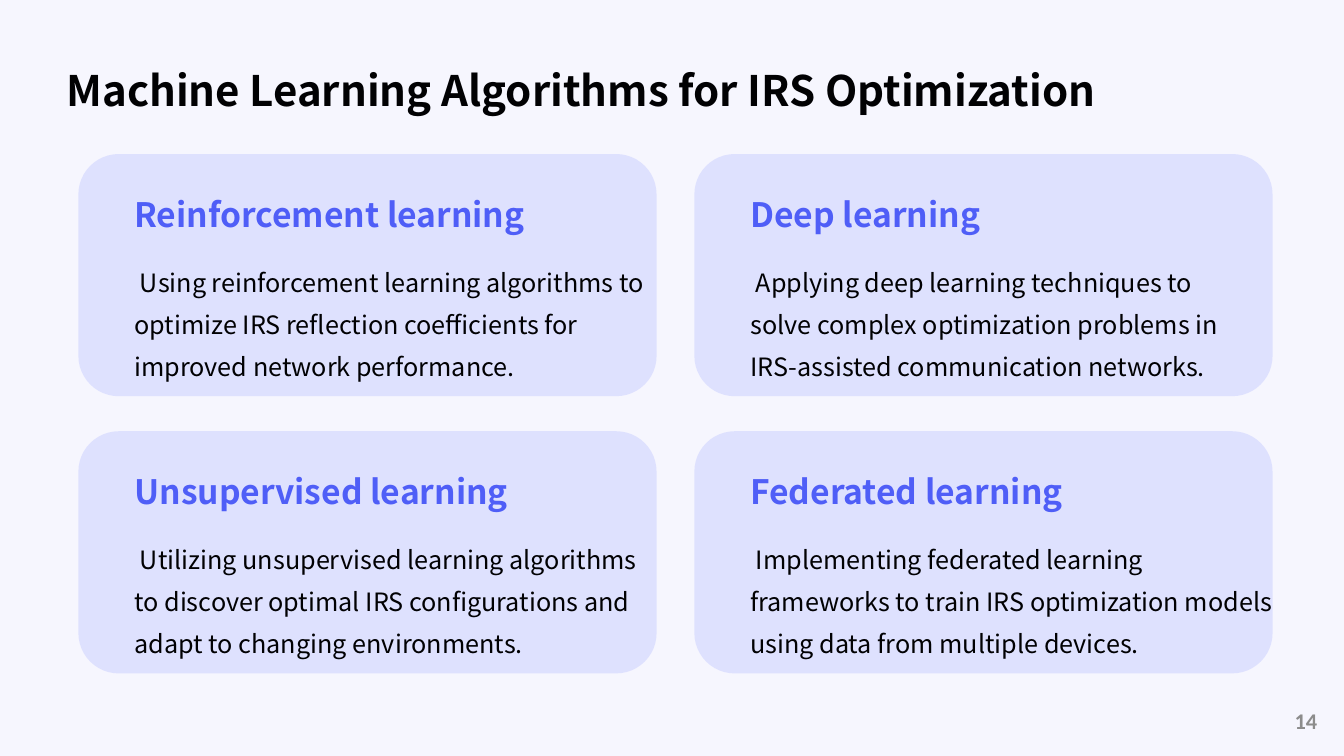
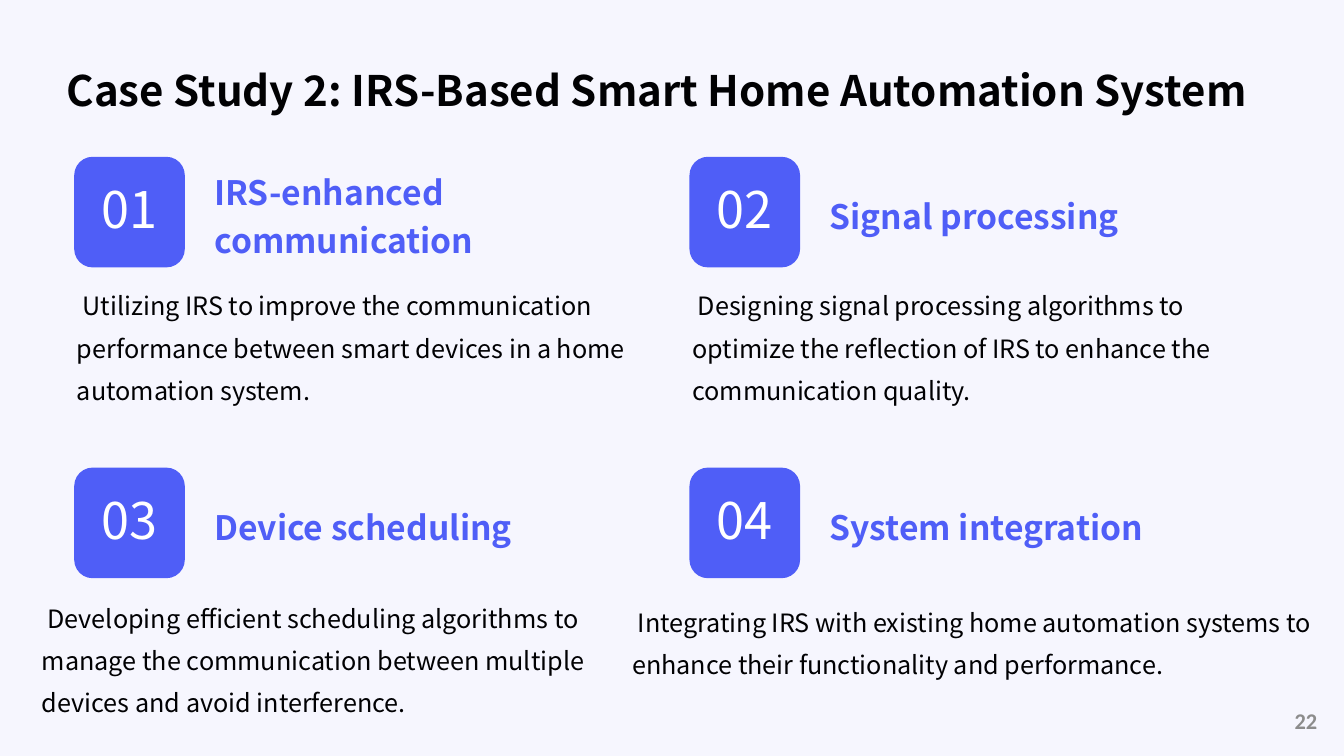
import pptx
import pptx.util
import pptx.dml.color
import pptx.enum.shapes
import pptx.enum.text
import pptx.oxml.ns
import lxml.etree

Pt = pptx.util.Pt
ALIGN = pptx.enum.text.PP_ALIGN
ANCHOR = pptx.enum.text.MSO_ANCHOR
FONT = "Noto Sans CJK SC"
HUES = {
    "page": "F6F6FE",
    "card": "D9DCFF",
    "blue": "4F5EF7",
    "ink": "010103",
    "gray": "8C8C8C",
    "white": "FFFFFF",
}
WIDE = (10, 10, 4, 10)
FLUSH = (0, 0, 0, 0)
BADGE = 79

CARDS = [
    ("Reinforcement learning", "Using reinforcement learning algorithms to optimize IRS reflection "
     "coefficients for improved network performance.", 390),
    ("Deep learning", "Applying deep learning techniques to solve complex optimization problems in "
     "IRS-assisted communication networks.", 370),
    ("Unsupervised learning", "Utilizing unsupervised learning algorithms to discover optimal IRS "
     "configurations and adapt to changing environments.", 390),
    ("Federated learning", "Implementing federated learning frameworks to train IRS optimization "
     "models using data from multiple devices.", 390),
]
STEPS = [
    ("IRS-enhanced communication", "Utilizing IRS to improve the communication performance between "
     "smart devices in a home automation system.", (2, 87, 410)),
    ("Signal processing", "Designing signal processing algorithms to optimize the reflection of IRS "
     "to enhance the communication quality.", (2, 87, 410)),
    ("Device scheduling", "Developing efficient scheduling algorithms to manage the communication "
     "between multiple devices and avoid interference.", (-23, 88, 410)),
    ("System integration", "Integrating IRS with existing home automation systems to enhance their "
     "functionality and performance.", (-41, 91, 508)),
]


def paint(fill, hue):
    fill.solid()
    fill.fore_color.rgb = pptx.dml.color.RGBColor.from_string(HUES[hue])


def write(shape, text, size=18, hue="ink", bold=False, font=FONT, align=ALIGN.LEFT,
          anchor=ANCHOR.TOP, pad=(7.2, 3.6, 7.2, 3.6), lead=1.0, indent=0):
    frame = shape.text_frame
    frame.word_wrap = True
    frame.auto_size = pptx.enum.text.MSO_AUTO_SIZE.NONE
    frame.vertical_anchor = anchor
    frame.margin_left, frame.margin_top, frame.margin_right, frame.margin_bottom = map(Pt, pad)
    para = frame.paragraphs[0]
    para.alignment = align
    para.line_spacing = lead
    if indent:
        para._p.get_or_add_pPr().set("indent", str(Pt(indent)))
    run = para.add_run()
    run.text = text
    run.font.name = font
    run.font.size = Pt(size)
    run.font.bold = bold
    run.font.color.rgb = pptx.dml.color.RGBColor.from_string(HUES[hue])


def add_text(slide, box, text, **style):
    write(slide.shapes.add_textbox(*map(Pt, box)), text, **style)


def add_round(slide, box, hue, alpha=None):
    kind = pptx.enum.shapes.MSO_SHAPE.ROUNDED_RECTANGLE
    shape = slide.shapes.add_shape(kind, *map(Pt, box))
    shape.shadow.inherit = False
    shape.line.fill.background()
    paint(shape.fill, hue)
    if alpha:
        solid = shape._element.spPr.find(pptx.oxml.ns.qn("a:solidFill"))
        lxml.etree.SubElement(solid[0], pptx.oxml.ns.qn("a:alpha"), val=str(alpha * 1000))
    return shape


def add_page(deck, title, number):
    slide = deck.slides.add_slide(deck.slide_layouts[5])
    head = slide.shapes.title
    head.left, head.top, head.width, head.height = map(Pt, (37.5, 21, 885, 72))
    write(head, title, size=30, bold=True, anchor=ANCHOR.MIDDLE, pad=WIDE, lead=1.4)
    add_text(slide, (780, 500.5, 168, 29), number, size=16, hue="gray", bold=True,
             font="Calibri", align=ALIGN.RIGHT, anchor=ANCHOR.MIDDLE)
    return slide


def add_card(slide, left, top, head, body, width):
    add_round(slide, (left, top, 413, 173), "card", alpha=80)
    add_text(slide, (left + 30, top + 17, 338, 50), head, size=24, hue="blue", bold=True,
             anchor=ANCHOR.BOTTOM, pad=WIDE, lead=1.2)
    add_text(slide, (left + 30, top + 62, width, 95), body, pad=WIDE, lead=1.4, indent=4)


def add_step(slide, left, top, label, head, body, place):
    badge = add_round(slide, (left, top, BADGE, BADGE), "blue")
    write(badge, label, size=36, hue="white", align=ALIGN.CENTER, anchor=ANCHOR.MIDDLE,
          pad=(0, 0, 0, 5))
    add_text(slide, (left + 93, top, 279, BADGE), head, size=24, hue="blue", bold=True,
             anchor=ANCHOR.MIDDLE, lead=1.2)
    across, down, width = place
    add_text(slide, (left + across, top + down, width, 78), body, pad=FLUSH, lead=1.4, indent=4)


def add_cards(deck):
    slide = add_page(deck, "Machine Learning Algorithms for IRS Optimization", "14")
    for index, card in enumerate(CARDS):
        row, col = divmod(index, 2)
        add_card(slide, 56 + 440 * col, 110 + 198 * row, *card)


def add_steps(deck):
    slide = add_page(deck, "Case Study 2: IRS-Based Smart Home Automation System", "22")
    for index, step in enumerate(STEPS):
        row, col = divmod(index, 2)
        add_step(slide, 53 + 439.5 * col, 112 + 222 * row, f"{index + 1:02}", *step)


def main():
    """Build the deck and save it."""
    deck = pptx.Presentation()
    deck.slide_width, deck.slide_height = Pt(960), Pt(540)
    paint(deck.slide_master.background.fill, "page")
    add_cards(deck)
    add_steps(deck)
    deck.save("out.pptx")


if __name__ == "__main__":
    main()
